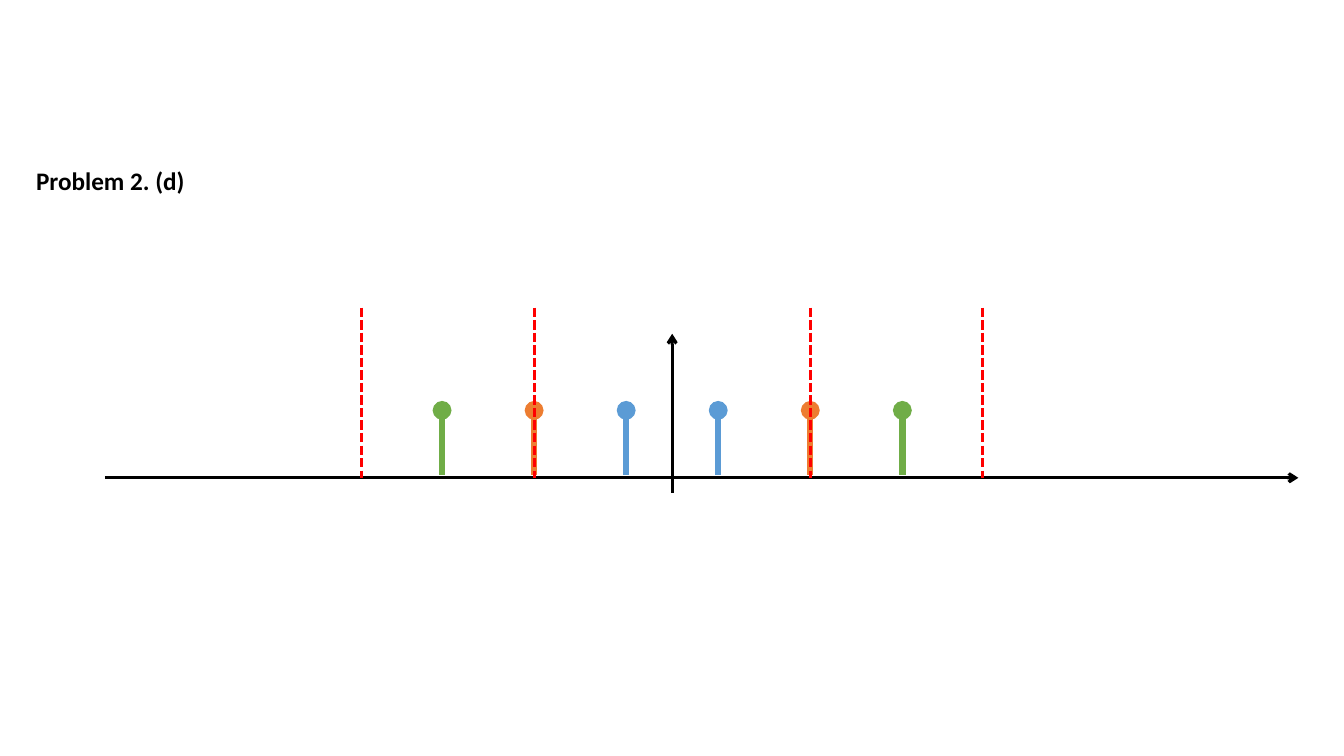
from lxml import etree
from pptx import Presentation
from pptx.dml.color import RGBColor
from pptx.enum.dml import MSO_LINE
from pptx.enum.shapes import MSO_CONNECTOR
from pptx.oxml.ns import qn
from pptx.util import Cm, Pt

STRAIGHT = MSO_CONNECTOR.STRAIGHT
DOTTED = MSO_LINE.SQUARE_DOT
BLACK, RED = "000000", "FF0000"
STEM_COLORS = ["5B9BD5", "ED7D31", "70AD47"]
HALF_STEP = 1.16
CUTOFFS = [3 * HALF_STEP, 7.82]


def color(hex_value):
    return RGBColor.from_string(hex_value)


def add_line(slide, start, end, hex_value, width, tail=None, dash=None):
    """Draw a line between two points in centimetres; tail is the mark at its end."""
    points = [Cm(value) for value in (*start, *end)]
    connector = slide.shapes.add_connector(STRAIGHT, *points)
    connector.line.color.rgb = color(hex_value)
    connector.line.width = Pt(width)
    if dash:
        connector.line.dash_style = dash
    properties = connector._element.spPr
    if tail:
        etree.SubElement(properties.find(qn("a:ln")), qn("a:tailEnd"), type=tail)
    etree.SubElement(properties, qn("a:effectLst"))


def add_heading(slide, left, top, width, height):
    box = slide.shapes.add_textbox(Cm(left), Cm(top), Cm(width), Cm(height))
    box.text_frame.word_wrap = True
    paragraph = box.text_frame.paragraphs[0]
    paragraph.text = "Problem 2. (d)"
    font_format = {"name": "Calibri", "size": Pt(18), "bold": True}
    for name, value in font_format.items():
        setattr(paragraph.font, name, value)
    paragraph.font.color.rgb = color(BLACK)


def add_spectrum(slide, left, top, width, height):
    """Draw the axes, the mirrored stems and the mirrored cutoff lines."""
    center = left + 14.3
    baseline = top + height
    add_line(slide, (center, baseline + 0.38), (center, top + 0.66), BLACK, 2.25, "arrow")
    add_line(slide, (left, baseline), (left + width, baseline), BLACK, 2.25, "arrow")

    for side in (-1, 1):
        for index, stem_color in enumerate(STEM_COLORS):
            x = center + side * (2 * index + 1) * HALF_STEP
            add_line(slide, (x, baseline - 0.08), (x, baseline - 1.7), stem_color, 4.5, "oval")
        for offset in CUTOFFS:
            x = center + side * offset
            add_line(slide, (x, top), (x, baseline), RED, 2.25, dash=DOTTED)


def main():
    presentation = Presentation()
    presentation.slide_width = Cm(33.87)
    presentation.slide_height = Cm(19.05)
    slide = presentation.slides.add_slide(presentation.slide_layouts[6])
    add_spectrum(slide, 2.64, 7.75, 30.08, 4.29)
    add_heading(slide, 0.66, 4.04, 4.55, 1.02)
    presentation.save("out.pptx")


if __name__ == "__main__":
    main()
